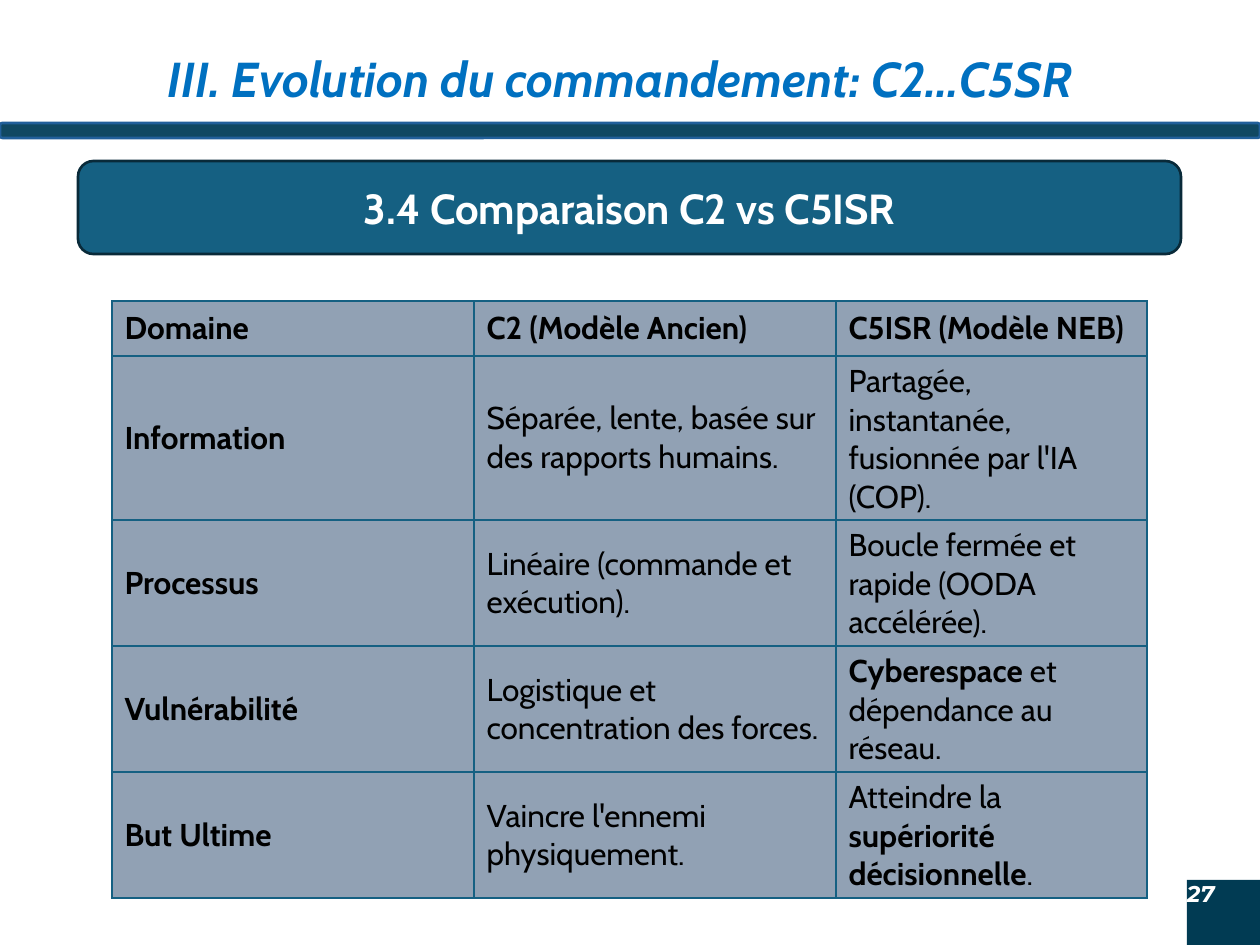
from dataclasses import dataclass
from typing import Optional

from lxml.etree import SubElement
from pptx import Presentation
from pptx.dml.color import RGBColor
from pptx.enum.shapes import MSO_SHAPE
from pptx.enum.text import MSO_ANCHOR, PP_ALIGN
from pptx.oxml.ns import qn
from pptx.util import Emu, Pt

PX_PER_INCH = 126


@dataclass(frozen=True)
class Style:
    size: int
    color: str
    bold: bool = False
    italic: bool = False
    font: str = "Cabin"


@dataclass(frozen=True)
class Theme:
    bar: str = "104862"
    bar_line: str = "215F9A"
    banner: str = "156082"
    banner_line: str = "092A39"
    corner: str = "013B53"
    cell: str = "91A1B4"
    grid: str = "156082"
    line_width: float = 1.5
    grid_width: float = 1
    title: Style = Style(28, "0070C0", True, True)
    heading: Style = Style(24, "FFFFFF", True)
    number: Style = Style(13, "FFFFFF", True, True, "Montserrat")
    body: Style = Style(18, "000000")
    strong: Style = Style(18, "000000", True)


@dataclass(frozen=True)
class Box:
    left: int
    top: int
    width: int
    height: int

    def emu(self) -> tuple:
        return px(self.left), px(self.top), px(self.width), px(self.height)


@dataclass(frozen=True)
class Panel:
    kind: MSO_SHAPE
    box: Box
    fill: str
    line: Optional[str] = None


THEME = Theme()
BAR = Panel(MSO_SHAPE.ROUNDED_RECTANGLE, Box(0, 123, 1260, 15), THEME.bar, THEME.bar_line)
CORNER = Panel(MSO_SHAPE.RECTANGLE, Box(1187, 880, 73, 65), THEME.corner)
BANNER = Panel(MSO_SHAPE.ROUNDED_RECTANGLE, Box(78, 161, 1103, 93), THEME.banner, THEME.banner_line)
TITLE_BOX = Box(103, 42, 1034, 72)
TABLE_BOX = Box(112, 301, 1035, 597)
COLUMNS = (362, 362, 311)
ROWS = (55, 164, 126, 126, 126)

# Text between ** marks is bold.
COMPARISON = (
    ("**Domaine**", "**C2 (Modèle Ancien)**", "**C5ISR (Modèle NEB)**"),
    ("**Information**", "Séparée, lente, basée sur des rapports humains.",
     "Partagée, instantanée, fusionnée par l'IA (COP)."),
    ("**Processus**", "Linéaire (commande et exécution).",
     "Boucle fermée et rapide (OODA accélérée)."),
    ("**Vulnérabilité**", "Logistique et concentration des forces.",
     "**Cyberespace** et dépendance au réseau."),
    ("**But Ultime**", "Vaincre l'ennemi physiquement.",
     "Atteindre la **supériorité décisionnelle**."),
)


def px(n: int) -> Emu:
    return Emu(round(n * 914400 / PX_PER_INCH))


def rgb(color: str) -> RGBColor:
    return RGBColor.from_string(color)


def style_run(r, style: Style) -> None:
    r.font.name = style.font
    r.font.size = Pt(style.size)
    r.font.bold = style.bold
    r.font.italic = style.italic
    r.font.color.rgb = rgb(style.color)


def write(tf, text: str, style: Style, align=PP_ALIGN.CENTER) -> None:
    tf.word_wrap = True
    tf.text = text
    p = tf.paragraphs[0]
    p.alignment = align
    style_run(p.runs[0], style)


def add_panel(s, panel: Panel):
    sp = s.shapes.add_shape(panel.kind, *panel.box.emu())
    sp.shadow.inherit = False
    sp.fill.solid()
    sp.fill.fore_color.rgb = rgb(panel.fill)
    if panel.line:
        sp.line.color.rgb = rgb(panel.line)
        sp.line.width = Pt(THEME.line_width)
    else:
        sp.line.fill.background()
    return sp


def add_borders(cell) -> None:
    """Draw all four sides; they must precede the fill in the cell's properties."""
    props = cell._tc.get_or_add_tcPr()
    for side in ("a:lnL", "a:lnR", "a:lnT", "a:lnB"):
        line = SubElement(props, qn(side), w=str(Pt(THEME.grid_width)))
        fill = SubElement(line, qn("a:solidFill"))
        SubElement(fill, qn("a:srgbClr"), val=THEME.grid)


def fill_cell(cell, text: str) -> None:
    add_borders(cell)
    cell.fill.solid()
    cell.fill.fore_color.rgb = rgb(THEME.cell)
    cell.vertical_anchor = MSO_ANCHOR.MIDDLE
    p = cell.text_frame.paragraphs[0]
    for i, part in enumerate(text.split("**")):
        if part:
            r = p.add_run()
            r.text = part
            style_run(r, THEME.strong if i % 2 else THEME.body)


def add_comparison(s) -> None:
    table = s.shapes.add_table(len(ROWS), len(COLUMNS), *TABLE_BOX.emu()).table
    for column, width in zip(table.columns, COLUMNS):
        column.width = px(width)
    for row, height, texts in zip(table.rows, ROWS, COMPARISON):
        row.height = px(height)
        for cell, text in zip(row.cells, texts):
            fill_cell(cell, text)


def main() -> None:
    prs = Presentation()
    prs.slide_width, prs.slide_height = px(1260), px(945)
    s = prs.slides.add_slide(prs.slide_layouts[6])

    add_panel(s, BAR)
    title = s.shapes.add_textbox(*TITLE_BOX.emu())
    write(title.text_frame, "III. Evolution du commandement: C2…C5SR", THEME.title)

    tf = add_panel(s, CORNER).text_frame
    tf.margin_left = tf.margin_top = tf.margin_right = tf.margin_bottom = 0
    tf.vertical_anchor = MSO_ANCHOR.TOP
    write(tf, "27", THEME.number, PP_ALIGN.LEFT)

    tf = add_panel(s, BANNER).text_frame
    tf.vertical_anchor = MSO_ANCHOR.MIDDLE
    write(tf, "3.4 Comparaison C2 vs C5ISR", THEME.heading)

    add_comparison(s)
    prs.save("out.pptx")


if __name__ == "__main__":
    main()
